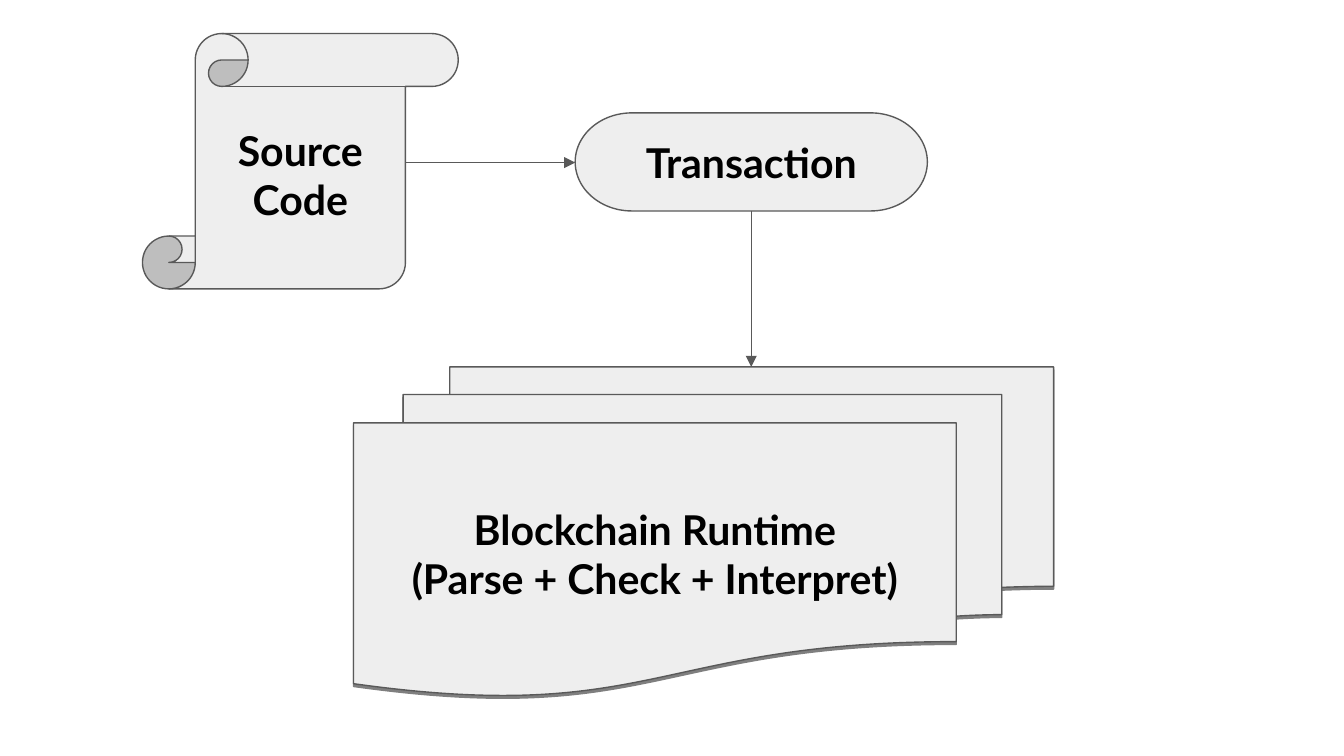
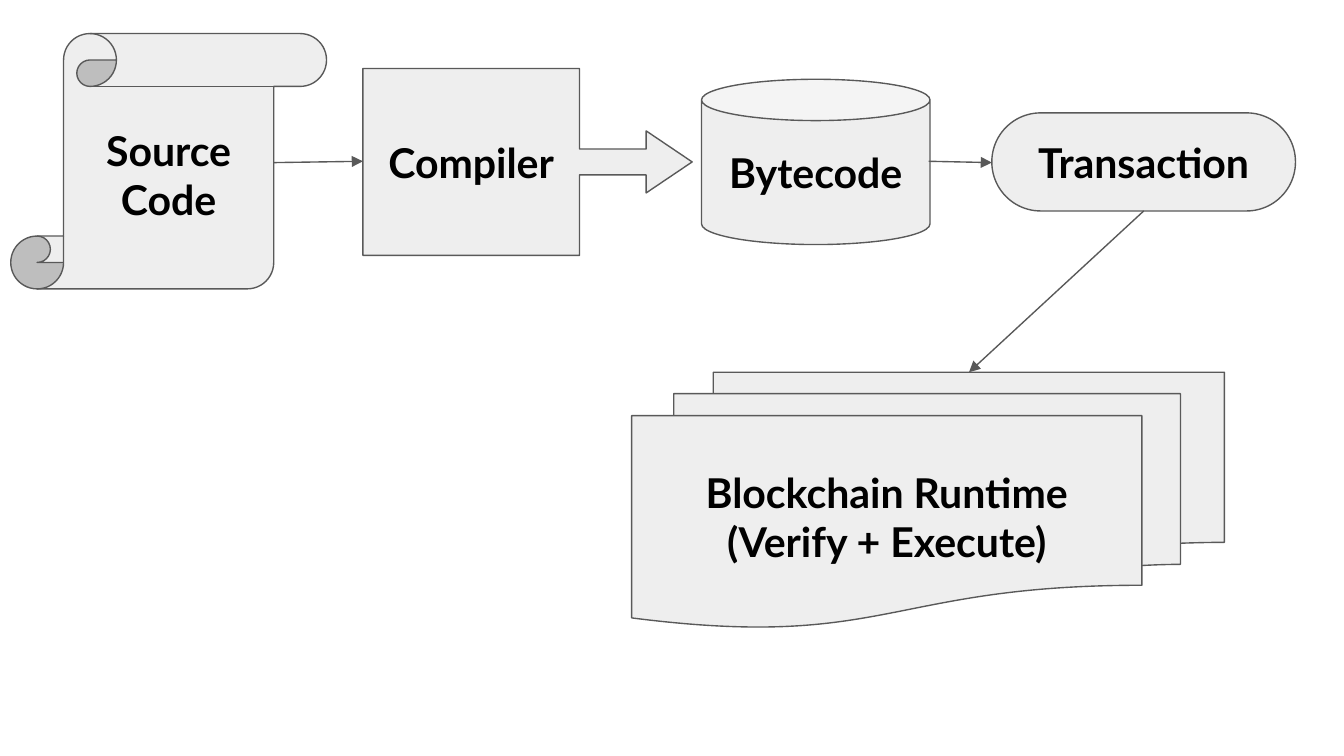
from lxml import etree
from pptx import Presentation
from pptx.dml.color import RGBColor
from pptx.enum import shapes, text
from pptx.oxml import ns
from pptx.util import Inches, Pt

COLOURS = {"fill": "EEEEEE", "line": "595959", "text": "000000", "shadow": "000000"}
FONT, TEXT_SIZE, LINE_WIDTH = "Lato", 22, 0.75

KINDS = {
    "scroll": (shapes.MSO_SHAPE.VERTICAL_SCROLL, [0.207]),
    "stack": (shapes.MSO_SHAPE.FLOWCHART_MULTIDOCUMENT, []),
    "pill": (shapes.MSO_SHAPE.FLOWCHART_TERMINATOR, []),
    "can": (shapes.MSO_SHAPE.CAN, [0.25]),
    "callout": (shapes.MSO_SHAPE.RIGHT_ARROW_CALLOUT, [0.139, 0.166, 0.246, 0.658]),
}

# Each step: kind, (left, top, width, height), lines of text, shadow
# Each arrow: start point, end point
SLIDES = [
    {
        "steps": [
            ("scroll", (1.06, 0.25, 2.35, 1.9), ["Source Code"], False),
            ("stack", (2.63, 2.73, 5.21, 2.45),
             ["Blockchain Runtime", "(Parse + Check + Interpret)"], True),
            ("pill", (4.28, 0.84, 2.62, 0.73), ["Transaction"], False),
        ],
        "arrows": [((5.59, 1.57), (5.59, 2.73)), ((3.02, 1.21), (4.28, 1.21))],
    },
    {
        "steps": [
            ("scroll", (0.08, 0.25, 2.35, 1.9), ["Source Code"], False),
            ("can", (5.22, 0.59, 1.7, 1.23), ["Bytecode"], False),
            ("stack", (4.7, 2.77, 4.41, 1.9),
             ["Blockchain Runtime", "(Verify + Execute)"], False),
            ("pill", (7.38, 0.84, 2.26, 0.73), ["Transaction"], False),
            ("callout", (2.7, 0.51, 2.45, 1.39), ["Compiler"], False),
        ],
        "arrows": [((2.04, 1.21), (2.7, 1.2)), ((8.51, 1.57), (7.21, 2.77)),
                   ((6.91, 1.2), (7.38, 1.21))],
    },
]


def colour(name):
    return RGBColor.from_string(COLOURS[name])


def style_line(line):
    line.color.rgb = colour("line")
    line.width = Pt(LINE_WIDTH)


def add_drop_shadow(box):
    """Give a box a thin, half-transparent shadow straight below it."""
    effects = box._element.spPr.find(ns.qn("a:effectLst"))
    shadow = etree.SubElement(effects, ns.qn("a:outerShdw"), blurRad="0",
                              dist=str(Pt(1.5)), dir=str(90 * 60000),
                              algn="bl", rotWithShape="0")
    tint = etree.SubElement(shadow, ns.qn("a:srgbClr"), val=COLOURS["shadow"])
    etree.SubElement(tint, ns.qn("a:alpha"), val="50000")


def add_step(page, kind, place, lines, has_shadow):
    preset, adjustments = KINDS[kind]
    box = page.shapes.add_shape(preset, *map(Inches, place))
    for index, value in enumerate(adjustments):
        box.adjustments[index] = value
    box.fill.solid()
    box.fill.fore_color.rgb = colour("fill")
    style_line(box.line)
    box.shadow.inherit = False
    if has_shadow:
        add_drop_shadow(box)

    frame = box.text_frame
    frame.word_wrap = True
    frame.vertical_anchor = text.MSO_ANCHOR.MIDDLE
    frame.margin_left = frame.margin_right = Inches(0.1)
    frame.margin_top = frame.margin_bottom = Inches(0.1)
    for index, words in enumerate(lines):
        para = frame.add_paragraph() if index else frame.paragraphs[0]
        para.alignment = text.PP_ALIGN.CENTER
        span = para.add_run()
        span.text = words
        span.font.name = FONT
        span.font.size = Pt(TEXT_SIZE)
        span.font.bold = True
        span.font.color.rgb = colour("text")


def add_arrow(page, start, end):
    arrow = page.shapes.add_connector(shapes.MSO_CONNECTOR.STRAIGHT,
                                      *map(Inches, start + end))
    style_line(arrow.line)
    etree.SubElement(arrow.line._get_or_add_ln(), ns.qn("a:tailEnd"),
                     type="triangle", w="med", len="med")
    etree.SubElement(arrow._element.spPr, ns.qn("a:effectLst"))


def main():
    deck = Presentation()
    deck.slide_width = Inches(10)
    deck.slide_height = deck.slide_width * 9 // 16
    blank = deck.slide_layouts[6]
    for content in SLIDES:
        page = deck.slides.add_slide(blank)
        for step in content["steps"]:
            add_step(page, *step)
        for start, end in content["arrows"]:
            add_arrow(page, start, end)
    deck.save("out.pptx")


if __name__ == "__main__":
    main()
